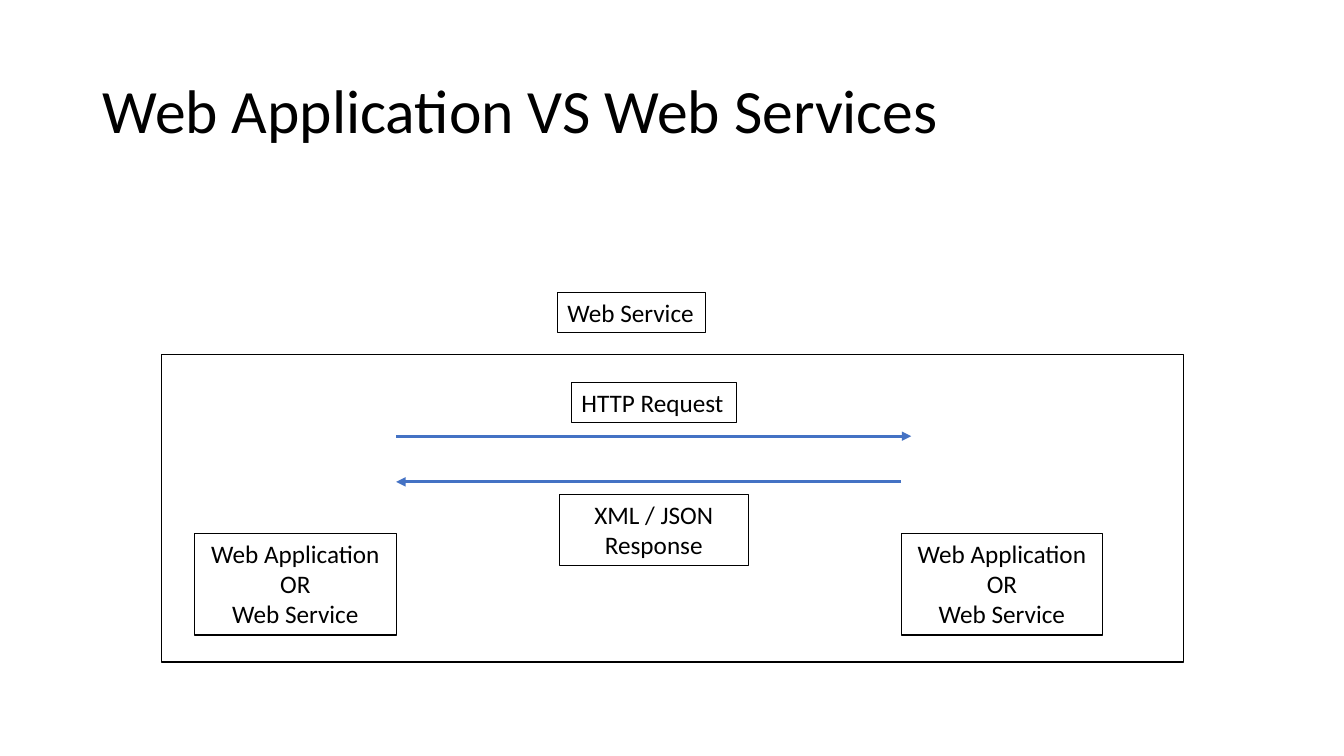
from pptx import Presentation
from pptx import util as u
from pptx.dml.color import RGBColor
from pptx.enum import shapes, text
from pptx.oxml.ns import qn
from lxml import etree

COLORS = {"ink": "000000", "arrow": "4472C4"}
LEFT, CENTER = text.PP_ALIGN.LEFT, text.PP_ALIGN.CENTER


def color(name):
    return RGBColor.from_string(COLORS[name])


class Diagram:
    font_format = {"name": "Calibri", "bold": False}

    def __init__(self, slide):
        self.slide = slide

    def style_text(self, paragraph, size, align):
        paragraph.alignment = align
        for key, value in {**self.font_format, "size": u.Pt(size)}.items():
            setattr(paragraph.font, key, value)
        paragraph.font.color.rgb = color("ink")

    def title(self, wording, left, top, width, height):
        heading = self.slide.shapes.title
        place = {"left": left, "top": top, "width": width, "height": height}
        for key, value in place.items():
            setattr(heading, key, u.Pt(value))
        frame = heading.text_frame
        frame.text = wording
        frame.vertical_anchor = text.MSO_ANCHOR.MIDDLE
        self.style_text(frame.paragraphs[0], 44, LEFT)
        frame.paragraphs[0].line_spacing = 0.9

    def outline(self, left, top, width, height, weight):
        area = map(u.Pt, (left, top, width, height))
        box = self.slide.shapes.add_shape(shapes.MSO_SHAPE.RECTANGLE, *area)
        box.shadow.inherit = False
        box.fill.background()
        box.line.color.rgb = color("ink")
        box.line.width = u.Pt(weight)
        return box

    def label(self, lines, left, top, width, height, align=CENTER, wrap=True):
        frame = self.outline(left, top, width, height, 0.75).text_frame
        frame.text = "\n".join(lines)
        frame_format = {
            "word_wrap": wrap,
            "vertical_anchor": text.MSO_ANCHOR.TOP,
            "auto_size": text.MSO_AUTO_SIZE.SHAPE_TO_FIT_TEXT,
        }
        for key, value in frame_format.items():
            setattr(frame, key, value)
        for paragraph in frame.paragraphs:
            self.style_text(paragraph, 18, align)

    def arrow(self, start, end, y):
        ends = map(u.Pt, (start, y, end, y))
        link = self.slide.shapes.add_connector(shapes.MSO_CONNECTOR.STRAIGHT, *ends)
        link.line.color.rgb = color("arrow")
        link.line.width = u.Pt(2.25)
        stroke = link.line._get_or_add_ln()
        etree.SubElement(stroke, qn("a:tailEnd"), type="triangle")
        etree.SubElement(link._element.spPr, qn("a:effectLst"))


def main():
    deck = Presentation()
    deck.slide_width, deck.slide_height = u.Pt(960), u.Pt(540)
    diagram = Diagram(deck.slides.add_slide(deck.slide_layouts[5]))

    client_left, server_left, party_width = 139, 643.7, 144
    client_right = client_left + party_width

    diagram.title("Web Application VS Web Services", 66, 28.75, 828, 104.4)
    diagram.outline(115.2, 253.4, 730, 219.6, 1)
    diagram.label(["Web Service"], 398.2, 208.8, 106, 29, LEFT, False)
    diagram.label(["HTTP Request"], 408.2, 272.9, 118, 29, LEFT)
    diagram.label(["XML / JSON Response"], 399.6, 353.2, 134.8, 51)
    for party_left in (client_left, server_left):
        lines = ["Web Application", "OR", "Web Service"]
        diagram.label(lines, party_left, 380.9, party_width, 72.7)
    diagram.arrow(client_right, 650.9, 311.6)
    diagram.arrow(server_left, client_right, 344.2)

    deck.save("out.pptx")


if __name__ == "__main__":
    main()
